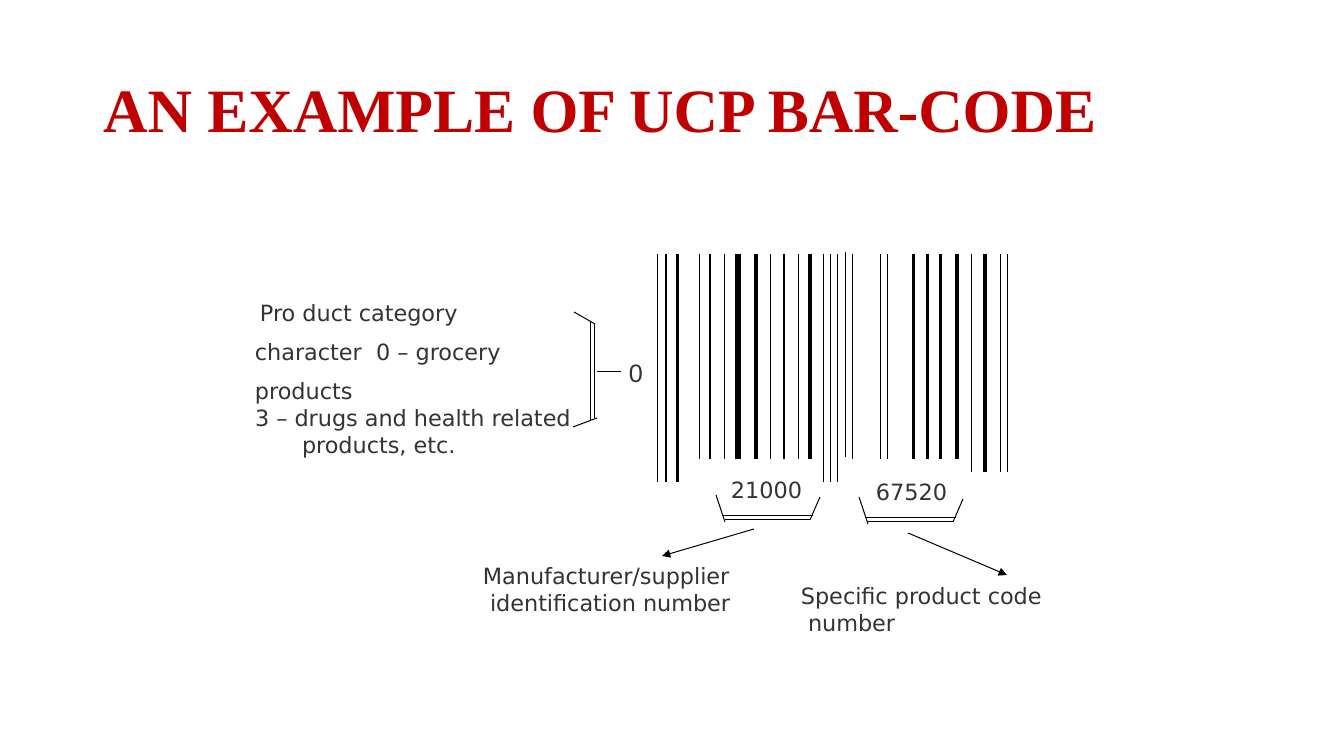
from lxml.etree import SubElement
from pptx import Presentation
from pptx.dml.color import RGBColor
from pptx.enum.shapes import MSO_CONNECTOR
from pptx.enum.text import MSO_ANCHOR, MSO_AUTO_SIZE, PP_ALIGN
from pptx.oxml.ns import qn
from pptx.util import Emu, Pt

RED = RGBColor(0xC0, 0x00, 0x00)
GREY = RGBColor(0x33, 0x33, 0x33)
BLACK = RGBColor(0x00, 0x00, 0x00)
HAIRLINE = 0.72

TOP, SHORT, MIDDLE, LONG = 254, 459, 472, 482
BARS = [
    (LONG, [(658, HAIRLINE), (666, 0.96), (678, 2.16)]),
    (SHORT, [(700, HAIRLINE), (710, 0.96), (725, HAIRLINE), (738, 4.56),
             (756, 2.16), (771, HAIRLINE), (784, 1.44), (799, HAIRLINE),
             (810, 3.12)]),
    (LONG, [(824, HAIRLINE), (831, HAIRLINE), (838, HAIRLINE)]),
    (SHORT, [(853, HAIRLINE), (881, HAIRLINE), (888, HAIRLINE),
             (914, 2.16), (928, 2.16), (941, 2.16), (957, 3.12)]),
    (MIDDLE, [(972, HAIRLINE), (985, 3.12), (1001, HAIRLINE),
              (1008, HAIRLINE)]),
]
LOWER_BRACKET = [(9, 25, 94, 25), (7, 21, 97, 21), (0, 0, 9, 27),
                 (94, 25, 104, 2)]
SIDE_BRACKET = [(22, 106, 22, 12), (18, 108, 18, 9), (0, 115, 24, 106),
                (22, 12, 1, 0), (24, 60, 48, 60)]


def px(length):
    return Emu(round(length * 914400 / 100.8))


class SlideBuilder:
    def __init__(self, deck, font="DejaVu Sans", size=16, color=GREY):
        self.page = deck.slides.add_slide(deck.slide_layouts[5])
        self.font, self.size, self.color = font, size, color

    def style(self, para, font, size, color):
        para.font.name = font
        para.font.size = Pt(size)
        para.font.color.rgb = color

    def title(self, text, left, top, width, height):
        box = self.page.shapes.title
        box.left, box.top = px(left), px(top)
        box.width, box.height = px(width), px(height)
        frame = box.text_frame
        frame.text = text
        frame.auto_size = MSO_AUTO_SIZE.NONE
        frame.vertical_anchor = MSO_ANCHOR.MIDDLE
        para = frame.paragraphs[0]
        para.alignment = PP_ALIGN.LEFT
        para.line_spacing = 0.9
        self.style(para, "Times New Roman", 44, RED)
        para.font.bold = True

    def text(self, text, left, top, width, height, font=None, size=None):
        box = self.page.shapes.add_textbox(
            px(left), px(top), px(width), px(height))
        frame = box.text_frame
        frame.word_wrap = True
        frame.auto_size = MSO_AUTO_SIZE.SHAPE_TO_FIT_TEXT
        frame.margin_left = frame.margin_right = frame.margin_bottom = 0
        frame.margin_top = px(1)
        frame.text = text
        for para in frame.paragraphs:
            self.style(para, font or self.font, size or self.size, self.color)
            self.indent(para, 1)
        frame.paragraphs[0].space_before = Pt(1)
        return frame

    def indent(self, para, left, first=0, right=0):
        properties = para._p.get_or_add_pPr()
        for name, length in (("marL", left), ("indent", first),
                             ("marR", right)):
            properties.set(name, str(px(length)))

    def line(self, x1, y1, x2, y2, width=HAIRLINE, arrow=False):
        line = self.page.shapes.add_connector(
            MSO_CONNECTOR.STRAIGHT, px(x1), px(y1), px(x2), px(y2))
        line.line.color.rgb = BLACK
        line.line.width = Pt(width)
        if arrow:
            SubElement(line.line._get_or_add_ln(), qn("a:tailEnd"),
                       type="triangle", w="med", len="med")
        SubElement(line._element.spPr, qn("a:effectLst"))

    def bracket(self, left, top, strokes):
        for x1, y1, x2, y2 in strokes:
            self.line(left + x1, top + y1, left + x2, top + y2)


def main():
    deck = Presentation()
    deck.slide_width, deck.slide_height = px(1344), px(756)
    slide = SlideBuilder(deck)
    slide.title("AN EXAMPLE OF UCP BAR-CODE", 93, 40, 1159, 146)

    for bottom, group in BARS:
        for x, width in group:
            slide.line(x, TOP, x, bottom, width)
    slide.line(846, TOP - 2, 846, SHORT - 2)

    slide.bracket(716, 495, LOWER_BRACKET)
    slide.bracket(859, 497, LOWER_BRACKET)
    slide.bracket(573, 312, SIDE_BRACKET)

    slide.text("21000", 730, 475, 74, 30)
    slide.text("67520", 875, 477, 74, 30)
    slide.text("0", 628, 356, 17, 33, "Arial", 18)

    categories = slide.text(
        "Pro duct category character  0 – grocery products\n"
        "3 – drugs and health related products, etc.", 254, 286, 325, 173)
    first, second = categories.paragraphs
    first.line_spacing = 1.45
    slide.indent(first, 1, 5, 40)
    slide.indent(second, 48, -47)

    slide.text("Manufacturer/supplier\v identification number",
               482, 561, 252, 56)
    slide.text("Specific product code\v number", 800, 581, 244, 56)
    slide.line(754, 529, 662, 556, arrow=True)
    slide.line(908, 533, 1007, 575, arrow=True)
    deck.save("out.pptx")


if __name__ == "__main__":
    main()
